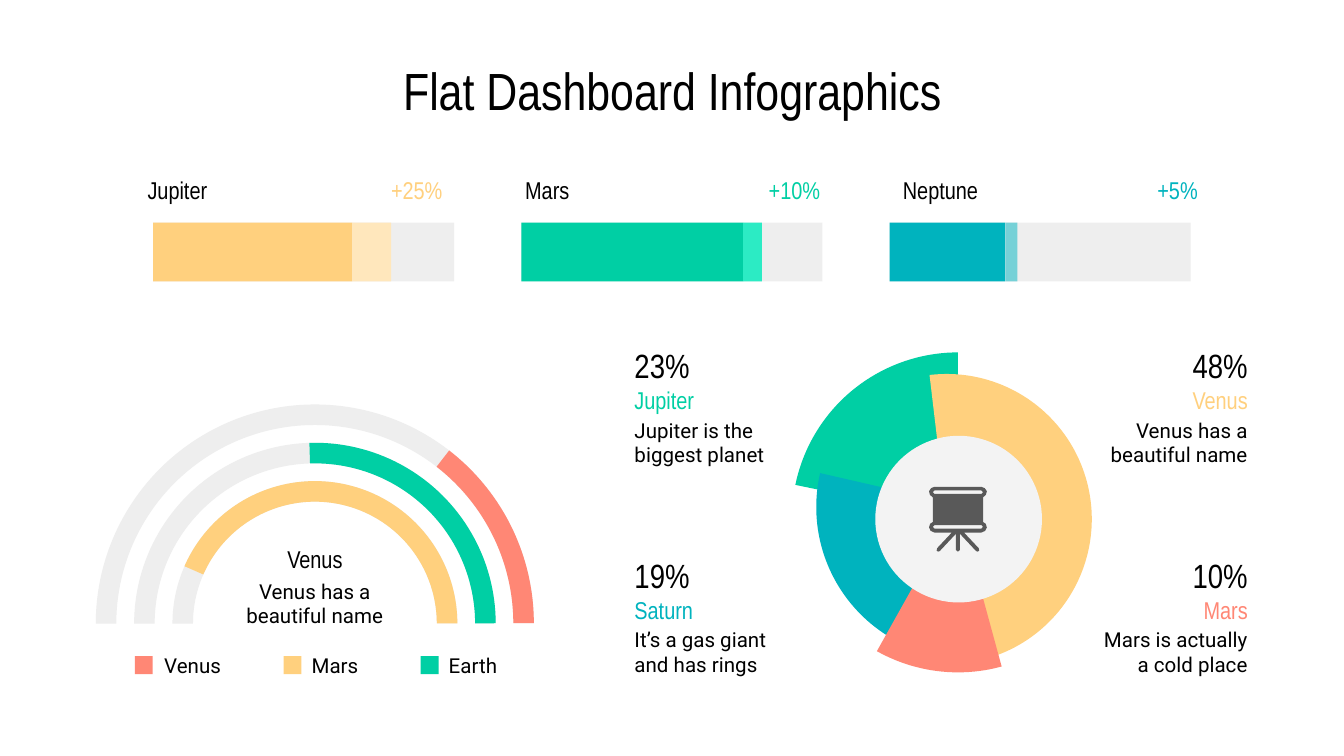
from pptx import Presentation
from pptx.dml.color import RGBColor
from pptx.enum.shapes import MSO_SHAPE
from pptx.enum.text import MSO_ANCHOR, MSO_AUTO_SIZE, PP_ALIGN
from pptx.util import Inches, Pt

# The slide is a 16:9 grid of square cells, 100 columns wide
CELL = Inches(10) / 100
COLUMNS, ROWS = 100, 56.25

GREEN, YELLOW, TEAL, CORAL = "00CFA4", "FFD07E", "00B3BE", "FF8775"
BLACK, TRACK, HUB, ICON = "000000", "EEEEEE", "F3F3F3", "595959"
HEADING, BODY = "Arial Narrow", "Roboto"
LEFT, CENTER, RIGHT = PP_ALIGN.LEFT, PP_ALIGN.CENTER, PP_ALIGN.RIGHT


def cells(*lengths):
    return [round(length * CELL) for length in lengths]


def color(hex_value):
    return RGBColor.from_string(hex_value)


def paint(shape, fill):
    shape.shadow.inherit = False
    shape.fill.solid()
    shape.fill.fore_color.rgb = color(fill)
    shape.line.fill.background()


def write(shape, text, size=11, font=BODY, fill=BLACK, align=LEFT, anchor=MSO_ANCHOR.MIDDLE):
    frame = shape.text_frame
    frame.word_wrap = True
    frame.auto_size = MSO_AUTO_SIZE.NONE
    frame.vertical_anchor = anchor
    frame.margin_left = frame.margin_right = Inches(0.1)
    frame.margin_top = frame.margin_bottom = Inches(0.1)
    paragraph = frame.paragraphs[0]
    paragraph.alignment = align
    run = paragraph.add_run()
    run.text = text
    run.font.size = Pt(size)
    run.font.name = font
    run.font.color.rgb = color(fill)


def add_text(slide, box, text, **text_format):
    write(slide.shapes.add_textbox(*cells(*box)), text, **text_format)


def add_shape(slide, kind, box, fill, angles=(), thickness=None, rotation=0):
    shape = slide.shapes.add_shape(kind, *cells(*box))
    for index, angle in enumerate(angles):
        shape.adjustments[index] = angle * 0.6  # degrees to adjustment units
    if thickness:
        shape.adjustments[2] = thickness
    shape.rotation = rotation
    paint(shape, fill)


def add_title(slide, box, text):
    title = slide.shapes.title
    title.left, title.top, title.width, title.height = cells(*box)
    write(title, text, size=28, font=HEADING, align=CENTER, anchor=MSO_ANCHOR.TOP)


def add_progress_label(slide, box, name, gain, fill):
    left, top, width, height = box
    add_text(slide, (left, top, 12.4, height), name, size=13, font=HEADING)
    add_text(slide, (left + width - 6.6, top, 6.6, height), gain,
             size=13, font=HEADING, fill=fill, align=RIGHT)


def add_progress_bar(slide, box, done, gained, fill, tint):
    left, top, width, height = box
    for start, length, part_fill in ((0, width, TRACK), (0, done, fill), (done, gained, tint)):
        add_shape(slide, MSO_SHAPE.RECTANGLE, (left + start, top, length, height), part_fill)


def add_gauge(slide, box, rings, name, caption):
    left, top, size, _ = box
    for index, (start, fill) in enumerate(rings):
        inset = 2.85 * index
        ring_size = size - 2 * inset
        ring = (left + inset, top + inset, ring_size, ring_size)
        for angle, ring_fill in ((180, TRACK), (start, fill)):
            add_shape(slide, MSO_SHAPE.BLOCK_ARC, ring, ring_fill,
                      angles=(angle, 359.9), thickness=1.53 / ring_size)
    add_text(slide, (left + 9.65, top + 12.4, 13.3, 4.8), caption, align=CENTER)
    add_text(slide, (left + 9.65, top + 10.1, 13.3, 2.7), name,
             size=13, font=HEADING, align=CENTER)


def add_legend_entry(slide, box, name, gap, fill):
    left, top, width, height = box
    add_text(slide, (left + gap, top, width, height), name)
    add_shape(slide, MSO_SHAPE.RECTANGLE, (left, top + 0.93, 1.34, 1.34), fill)


def add_board_icon(slide, center, top):
    # Right halves in thousandths of an inch, mirrored about the centre line
    outline = [(0, 0), (175, 0), (200, 10), (215, 33), (208, 60), (187, 78), (187, 262),
               (207, 275), (215, 302), (203, 328), (175, 340), (45, 340), (155, 457),
               (158, 475), (148, 482), (135, 478), (15, 350), (15, 470), (0, 482)]
    slots = [[(0, y), (175, y), (187, y + 13), (175, y + 26)] for y in (27, 285)]
    contours = [half + [(-x, y) for x, y in reversed(half)] for half in [outline] + slots]
    builder = slide.shapes.build_freeform(*contours[0][0], scale=CELL / 100)
    for index, contour in enumerate(contours):
        if index:
            builder.move_to(*contour[0])
        builder.add_line_segments(contour[1:], close=True)
    paint(builder.convert_to_shape(*cells(center, top)), ICON)


def add_donut(slide, box, slices):
    left, top, _, _ = box
    for x, y, size, angles, rotation, fill in slices:
        add_shape(slide, MSO_SHAPE.PIE, (left + x, top + y, size, size), fill,
                  angles=angles, rotation=rotation)
    add_shape(slide, MSO_SHAPE.OVAL, (left + 6.2, top + 7.1, 12.4, 12.4), HUB)
    add_board_icon(slide, left + 12.35, top + 10.9)


def add_fact(slide, box, share, name, text, fill, align):
    left, top, width, _ = box
    add_text(slide, (left, top + 4.8, width, 4.4), text, align=align)
    add_text(slide, (left, top + 2.6, width, 2.5), name,
             size=13, font=HEADING, fill=fill, align=align)
    add_text(slide, (left, top, width, 2.5), share, size=18, font=HEADING, align=align)


def build_dashboard(slide):
    add_title(slide, (4.5, 3.35, 91, 6.3), "Flat Dashboard Infographics")

    # Half-circle gauge and its legend
    add_gauge(slide, (7.13, 30.1, 32.6, 32.6),
              ((307.84, CORAL), (268.25, GREEN), (203.74, YELLOW)),
              "Venus", "Venus has a beautiful name")
    legend = ((10.03, "Venus", 1.2, CORAL), (21.1, "Mars", 1.1, YELLOW),
              (31.3, "Earth", 1.1, GREEN))
    for left, name, gap, fill in legend:
        add_legend_entry(slide, (left, 47.9, 7.5, 3.2), name, gap, fill)

    # Donut: offset, size, angles, rotation and colour of each slice
    add_donut(slide, (58.93, 25.33, 24.7, 25.6), (
        (0, 0.9, 24.7, (191.65, 270), 0, GREEN),
        (0.7, 2.5, 21.6, (158.23, 338.36), 105, YELLOW),
        (1.8, 1.1, 22.6, (358.75, 87.93), 105, TEAL),
        (0, 0, 24.7, (329.76, 14.25), 105, CORAL)))

    # Facts on both sides of the donut
    left_side, right_side = (46.23, 12.4, LEFT), (80.32, 13.5, RIGHT)
    facts = (
        (left_side, 41.5, "19%", "Saturn", "It’s a gas giant and has rings", TEAL),
        (left_side, 25.9, "23%", "Jupiter", "Jupiter is the biggest planet", GREEN),
        (right_side, 41.5, "10%", "Mars", "Mars is actually a cold place", CORAL),
        (right_side, 25.9, "48%", "Venus", "Venus has a beautiful name", YELLOW))
    for (left, width, align), top, share, name, text, fill in facts:
        add_fact(slide, (left, top, width, 9.2), share, name, text, fill, align)

    # Progress bars with labels: lengths of the done and gained parts in columns
    progress = (
        ("Jupiter", "+25%", 14.8, 2.9, YELLOW, "FFE7BC"),
        ("Mars", "+10%", 16.5, 1.4, GREEN, "2CEBC4"),
        ("Neptune", "+5%", 8.6, 0.9, TEAL, "76D1D7"))
    for index, (name, gain, done, gained, fill, tint) in enumerate(progress):
        add_progress_label(slide, (10 + 28.1 * index, 12.84, 23.9, 2.5), name, gain, fill)
        add_progress_bar(slide, (11.4 + 27.4 * index, 16.57, 22.4, 4.37),
                         done, gained, fill, tint)


def main():
    presentation = Presentation()
    presentation.slide_width, presentation.slide_height = cells(COLUMNS, ROWS)
    build_dashboard(presentation.slides.add_slide(presentation.slide_layouts[5]))
    presentation.save("out.pptx")


if __name__ == "__main__":
    main()
